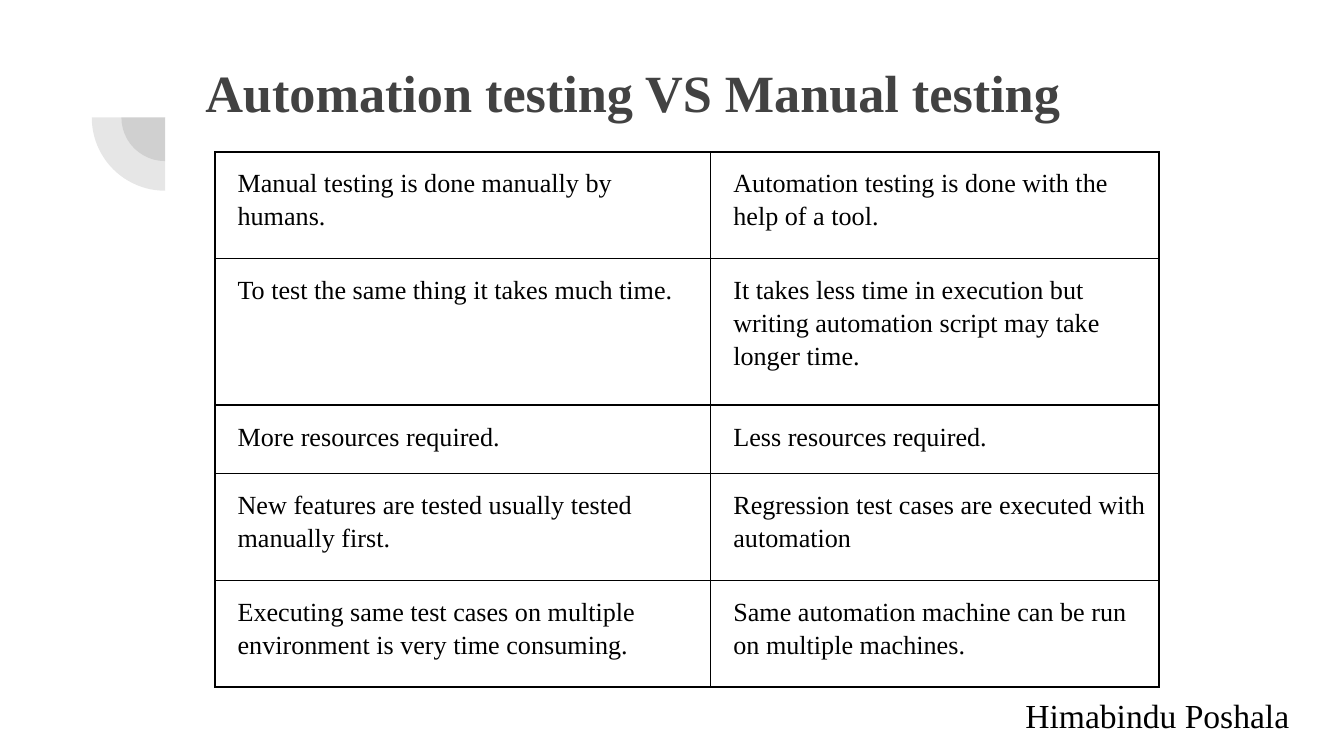
from lxml import etree
from pptx import Presentation
from pptx.dml.color import RGBColor
from pptx.enum import shapes, text
from pptx.oxml import ns
from pptx.util import Cm, Pt

# Content
TITLE = "Automation testing VS Manual testing"
AUTHOR = "Himabindu Poshala"
COMPARISON = [
    ("Manual testing is done manually by humans.",
     "Automation testing is done with the help of a tool."),
    ("To test the same thing it takes much time.",
     "It takes less time in execution but writing automation script may take longer time."),
    ("More resources required.", "Less resources required."),
    ("New features are tested usually tested manually first.",
     "Regression test cases are executed with automation"),
    ("Executing same test cases on multiple environment is very time consuming.",
     "Same automation machine can be run on multiple machines."),
]

# Layout in centimetres
COLUMN_WIDTHS = [9.37, 8.48]
ROW_HEIGHTS = [2.02, 2.77, 1.29, 2.02, 2.02]
PIE_CENTRE = (3.12, 2.22)
PIE_DIAMETERS = [1.65, 2.77]
FONT = "Times New Roman"
GREY, BLACK = "424242", "000000"


def colour(value):
    return RGBColor.from_string(value)


def write(frame, words, size, ink, bold=False):
    frame.text = words
    frame.word_wrap = True
    frame.vertical_anchor = text.MSO_ANCHOR.TOP
    para = frame.paragraphs[0]
    para.alignment = text.PP_ALIGN.LEFT
    font = para.runs[0].font
    font.name, font.size, font.bold = FONT, Pt(size), bold
    font.color.rgb = colour(ink)
    return para


def place(box, left, top, width, height):
    box.left, box.top, box.width, box.height = map(Cm, (left, top, width, height))
    frame = box.text_frame
    frame.margin_left = frame.margin_right = Cm(0.25)
    frame.margin_top = frame.margin_bottom = Cm(0.25)
    return frame


def add_borders(cell, ink, width):
    properties = cell._tc.get_or_add_tcPr()
    for position, side in enumerate(("lnL", "lnR", "lnT", "lnB")):
        line = etree.Element(ns.qn(f"a:{side}"), w=str(Pt(width)))
        fill = etree.SubElement(line, ns.qn("a:solidFill"))
        etree.SubElement(fill, ns.qn("a:srgbClr"), val=ink)
        properties.insert(position, line)


deck = Presentation()
deck.slide_width, deck.slide_height = Cm(25.4), Cm(14.29)
page = deck.slides.add_slide(deck.slide_layouts[5])

# Concentric quarter circles
for diameter in PIE_DIAMETERS:
    left, top = (centre - diameter / 2 for centre in PIE_CENTRE)
    pie = page.shapes.add_shape(shapes.MSO_SHAPE.PIE, Cm(left), Cm(top),
                                Cm(diameter), Cm(diameter))
    pie.adjustments[0], pie.adjustments[1] = 108, 162
    pie.rotation = 270
    pie.shadow.inherit = False
    pie.line.fill.background()
    pie.fill.solid()
    pie.fill.fore_color.rgb = colour(GREY)
    tint = pie._element.spPr.find(".//" + ns.qn("a:srgbClr"))
    etree.SubElement(tint, ns.qn("a:alpha"), val="13000")

# Title and author
title = place(page.shapes.title, 3.63, 0.89, 19.53, 1.68)
title.auto_size = text.MSO_AUTO_SIZE.NONE
write(title, TITLE, 28, GREY, bold=True)
author = page.shapes.add_textbox(0, 0, 0, 0)
write(place(author, 19.13, 12.88, 5.89, 0.99), AUTHOR, 18, BLACK)

# Comparison table
table = page.shapes.add_table(
    len(ROW_HEIGHTS), len(COLUMN_WIDTHS), Cm(4.06), Cm(2.87),
    Cm(sum(COLUMN_WIDTHS)), Cm(sum(ROW_HEIGHTS))).table
table.first_row = table.horz_banding = False
for column, width in zip(table.columns, COLUMN_WIDTHS):
    column.width = Cm(width)
for row, height, entries in zip(table.rows, ROW_HEIGHTS, COMPARISON):
    row.height = Cm(height)
    for cell, words in zip(row.cells, entries):
        cell.margin_left = cell.margin_right = Cm(0.18)
        cell.margin_top = cell.margin_bottom = Cm(0.25)
        cell.fill.background()
        add_borders(cell, BLACK, 1)
        para = write(cell.text_frame, words, 14, BLACK)
        para.line_spacing = 1.15
        para._p.get_or_add_pPr().set("marL", str(Cm(0.25)))

deck.save("out.pptx")
